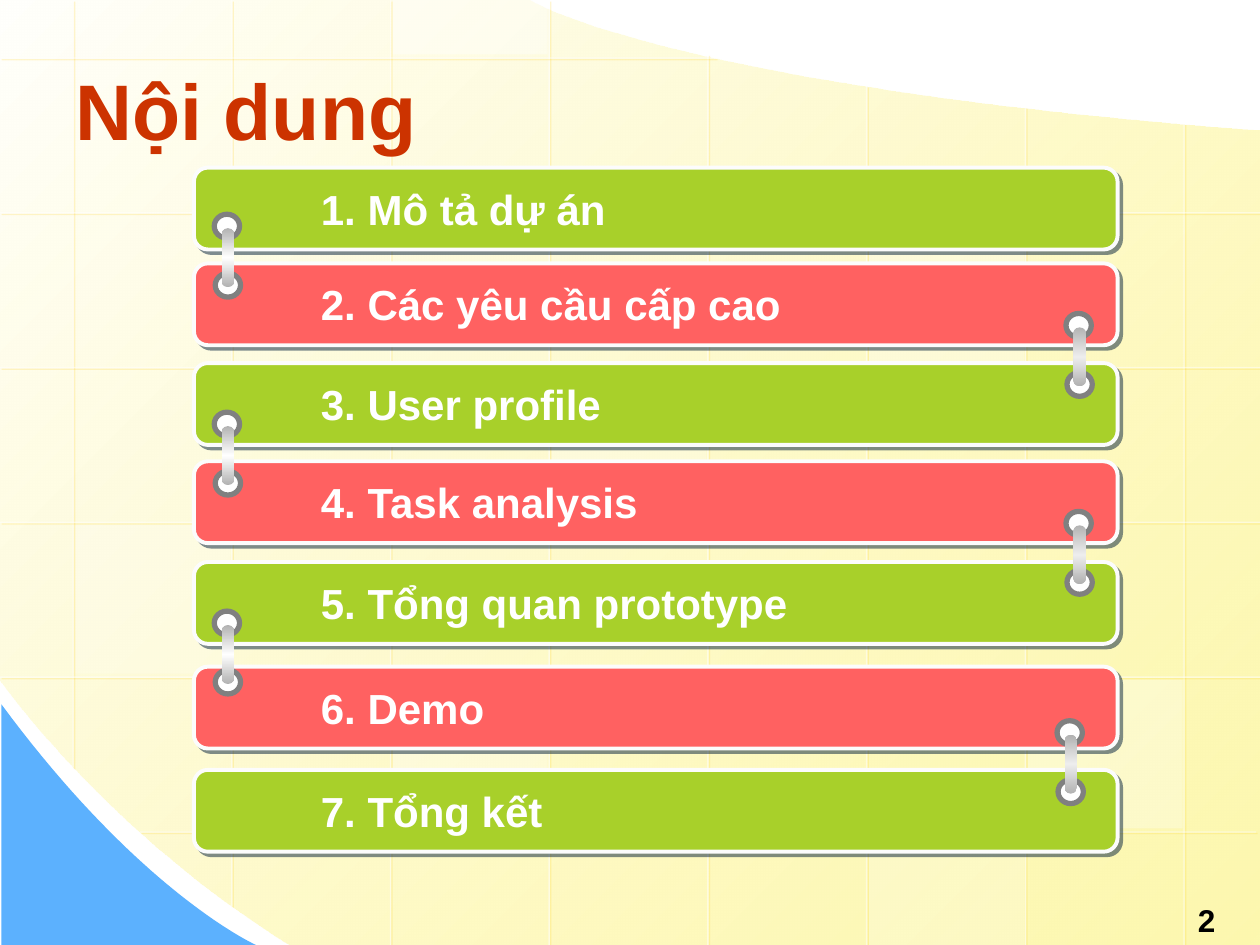
from copy import deepcopy

from lxml import etree
from pptx import Presentation
from pptx.dml.color import RGBColor
from pptx.enum.shapes import MSO_CONNECTOR, MSO_SHAPE
from pptx.enum.text import MSO_ANCHOR
from pptx.oxml.ns import qn
from pptx.util import Cm, Pt

RECTANGLE = MSO_SHAPE.RECTANGLE
ROUNDED = MSO_SHAPE.ROUNDED_RECTANGLE
OVAL = MSO_SHAPE.OVAL
STRAIGHT = MSO_CONNECTOR.STRAIGHT
MIDDLE = MSO_ANCHOR.MIDDLE

WHITE = RGBColor(0xFF, 0xFF, 0xFF)
BLACK = RGBColor(0x00, 0x00, 0x00)
CREAM = RGBColor(0xFF, 0xFF, 0xFC)
YELLOW = RGBColor(0xFD, 0xF5, 0x8D)
BLUE = RGBColor(0x5C, 0xB1, 0xFE)
GOLD = RGBColor(0xFF, 0xCC, 0x00)
RUST = RGBColor(0xCC, 0x33, 0x00)
GREEN = RGBColor(0xA8, 0xD0, 0x2A)
RED = RGBColor(0xFF, 0x61, 0x61)
BORDER = RGBColor(0xFC, 0xFC, 0xFC)
NAVY = RGBColor(0x00, 0x1D, 0x3A)
GRAY = RGBColor(0x80, 0x80, 0x80)
SILVER = RGBColor(0xB2, 0xB2, 0xB2)
PALE = RGBColor(0xED, 0xED, 0xED)

PAGE_WIDTH, PAGE_HEIGHT = 25.4, 19.05


def cast_shadow(effects, color, opacity, distance):
    shadow = etree.SubElement(effects, qn("a:outerShdw"), blurRad="0",
                              dist=str(Pt(distance)), dir="2700000", algn="ctr")
    tint = etree.SubElement(shadow, qn("a:srgbClr"), val=str(color))
    etree.SubElement(tint, qn("a:alpha"), val=str(opacity * 1000))


def add_label(left, top, width, height, text, size, color):
    label = slide.shapes.add_textbox(Cm(left), Cm(top), Cm(width), Cm(height))
    label.text_frame.word_wrap = True
    label.text_frame.vertical_anchor = MIDDLE
    paragraph = label.text_frame.paragraphs[0]
    paragraph.text = text
    paragraph.font.name = "Arial"
    paragraph.font.size = Pt(size)
    paragraph.font.bold = True
    paragraph.font.color.rgb = color
    return paragraph


prs = Presentation()
prs.slide_width, prs.slide_height = Cm(PAGE_WIDTH), Cm(PAGE_HEIGHT)
slide = prs.slides.add_slide(prs.slide_layouts[6])

# Each outline is a mix of corners (one point) and Bezier curves (four points)
backdrop_outline = [
    [(5.84, 19.05), (2.18, 16.79), (-0.02, 13.69), (0, 13.69)],
    [(-0.02, -0.02)],
    [(10.67, 0), (10.67, 0.03), (13.61, 1.75), (25.4, 2.64)],
    [(25.4, 19.05)],
]
corner_outline = [
    [(5.16, 19.05), (5.16, 19.05), (2.84, 18.01), (0.03, 14.2)],
    [(0.03, 19.05)],
]
areas = []
for outline in (backdrop_outline, corner_outline):
    points = []
    for segment in outline:
        if len(segment) == 1:
            points += segment
            continue
        for step in range(41):
            t = step / 40
            weights = ((1 - t) ** 3, 3 * t * (1 - t) ** 2, 3 * t * t * (1 - t), t ** 3)
            points.append([sum(w * p[axis] for w, p in zip(weights, segment))
                           for axis in (0, 1)])
    points = [(Cm(x), Cm(y)) for x, y in points]
    builder = slide.shapes.build_freeform(*points[0])
    builder.add_line_segments(points[1:], close=True)
    area = builder.convert_to_shape()
    area.shadow.inherit = False
    area.line.fill.background()
    areas.append(area)

backdrop, corner = areas
backdrop.fill.gradient()
backdrop.fill.gradient_angle = 315
for stop, color in zip(backdrop.fill.gradient_stops, (CREAM, YELLOW)):
    stop.color.rgb = color
yellow_stop = backdrop.element.spPr.findall(".//" + qn("a:srgbClr"))[-1]
etree.SubElement(yellow_stop, qn("a:alpha"), val="70000")
corner.fill.solid()
corner.fill.fore_color.rgb = BLUE

GRID_LEFT, GRID_TOP, COLUMN, ROW = 1.47, 1.17, 3.2, 3.12
column_spans = [(0, 15.47), (0, 18.26), (0, 19.05), (0, 19.1),
                (1.09, 19.1), (1.73, 19.1), (2.16, 19.1), (2.49, 19.1)]
row_spans = [(0, 14.43)] + [(0, 25.43)] * 4 + [(2.82, 25.32)]
grid_lines = [(GRID_LEFT + i * COLUMN, start, GRID_LEFT + i * COLUMN, end)
              for i, (start, end) in enumerate(column_spans)]
grid_lines += [(end, GRID_TOP + i * ROW, start, GRID_TOP + i * ROW)
               for i, (start, end) in enumerate(row_spans)]
for ends in grid_lines:
    grid_line = slide.shapes.add_connector(STRAIGHT, *map(Cm, ends))
    grid_line.line.color.rgb = WHITE
    grid_line.line.width = Pt(0.75)
    properties = grid_line.element.spPr
    etree.SubElement(properties.find(".//" + qn("a:srgbClr")), qn("a:alpha"), val="50000")
    cast_shadow(etree.SubElement(properties, qn("a:effectLst")), GOLD, 35, 1.4)

for column, row, opacity in [(3, 2, 25), (6, 4, 30), (0, 3, 20), (5, 5, 20),
                             (2, -1, 40), (2, 4, 30), (5, 1, 30)]:
    left = GRID_LEFT + column * COLUMN + 0.05
    top = GRID_TOP + row * ROW + 0.05
    bottom = min(top + 3, PAGE_HEIGHT)
    top = max(top, 0)
    tile = slide.shapes.add_shape(RECTANGLE, Cm(left), Cm(top), Cm(3.12), Cm(bottom - top))
    tile.shadow.inherit = False
    tile.line.fill.background()
    tile.fill.solid()
    tile.fill.fore_color.rgb = WHITE
    etree.SubElement(tile.element.spPr.find(".//" + qn("a:srgbClr")),
                     qn("a:alpha"), val=str(opacity * 1000))

title = add_label(1.27, 0.91, 22.86, 2.57, "Nội dung", 45, RUST)
shadowed = [title]

topics = [
    (3.38, "1. Mô tả dự án"),
    (5.31, "2. Các yêu cầu cấp cao"),
    (7.32, "3. User profile"),
    (9.3, "4. Task analysis"),
    (11.33, "5. Tổng quan prototype"),
    (13.44, "6. Demo"),
    (15.52, "7. Tổng kết"),
]
for i, (top, topic) in enumerate(topics):
    bar = slide.shapes.add_shape(ROUNDED, Cm(3.91), Cm(top), Cm(18.62), Cm(1.65))
    bar.adjustments[0] = 0.17
    bar.fill.solid()
    bar.fill.fore_color.rgb = RED if i % 2 else GREEN
    bar.line.color.rgb = BORDER
    bar.line.width = Pt(2.25)
    bar.shadow.inherit = False
    cast_shadow(bar.element.spPr.find(qn("a:effectLst")), NAVY, 50, 2.8)
    shadowed.append(add_label(6.22, top + 0.18, 13.97, 1.28, topic, 24, WHITE))

for paragraph in shadowed:
    font_fill = paragraph._p.find(".//" + qn("a:solidFill"))
    effects = etree.Element(qn("a:effectLst"))
    font_fill.addnext(effects)
    cast_shadow(effects, BLACK, 50, 2)

clasps = [(4.32, 4.32, WHITE), (21.49, 6.32, PALE), (4.32, 8.31, WHITE),
          (21.49, 10.31, PALE), (4.32, 12.32, WHITE), (21.31, 14.53, PALE)]
for left, top, shine in clasps:
    clasp = slide.shapes.add_group_shape()
    for x, y in ((left, top), (left + 0.02, top + 1.19)):
        eyelet = clasp.shapes.add_shape(OVAL, Cm(x), Cm(y), Cm(0.51), Cm(0.48))
        eyelet.shadow.inherit = False
        eyelet.fill.solid()
        eyelet.fill.fore_color.rgb = WHITE
        eyelet.line.color.rgb = GRAY
        eyelet.line.width = Pt(3)
    link = clasp.shapes.add_shape(ROUNDED, Cm(left + 0.15), Cm(top + 0.28), Cm(0.25), Cm(1.19))
    link.adjustments[0] = 0.5
    link.shadow.inherit = False
    link.line.fill.background()
    link.fill.gradient()
    link.fill.gradient_angle = 90
    first_stop = link.element.spPr.find(".//" + qn("a:gs"))
    first_stop.addnext(deepcopy(first_stop))
    for stop, position, color in zip(link.fill.gradient_stops, (0, 0.5, 1),
                                     (SILVER, shine, SILVER)):
        stop.position = position
        stop.color.rgb = color

add_label(23.9, 18.03, 1.5, 1.02, "2", 18, BLACK)

prs.save("out.pptx")
